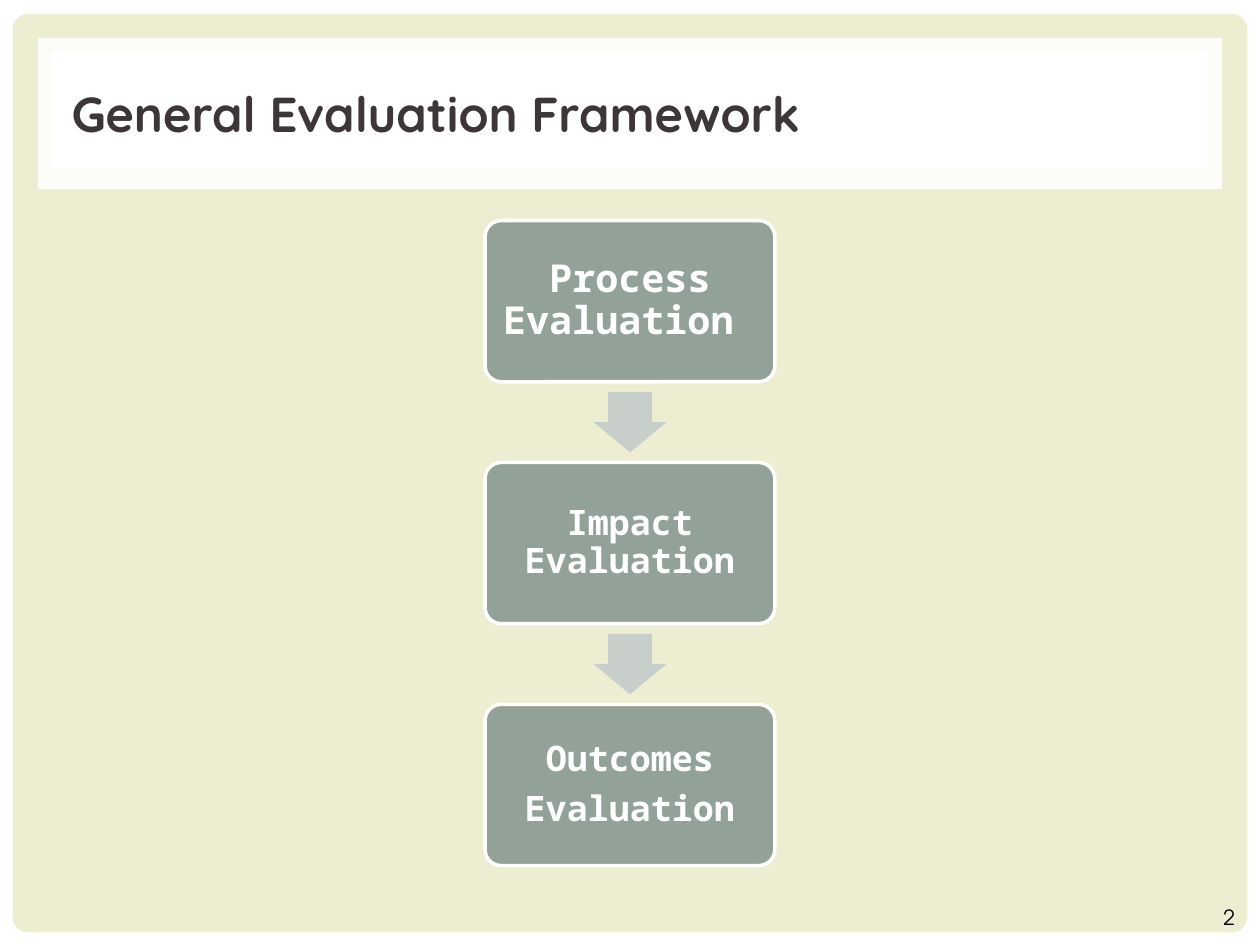
from lxml import etree
from pptx import Presentation
from pptx.dml.color import RGBColor
from pptx.enum.shapes import MSO_SHAPE
from pptx.enum.text import MSO_ANCHOR, PP_ALIGN
from pptx.oxml.ns import qn
from pptx.util import Inches, Pt

RECT, ROUND = MSO_SHAPE.RECTANGLE, MSO_SHAPE.ROUNDED_RECTANGLE
ARROW = MSO_SHAPE.RIGHT_ARROW
MIDDLE = MSO_ANCHOR.MIDDLE
LEFT, CENTER, RIGHT = PP_ALIGN.LEFT, PP_ALIGN.CENTER, PP_ALIGN.RIGHT

# Content
TITLE = "General Evaluation Framework"
NUMBER = "2"
STEPS = [  # paragraphs, type size, inset
    (["Process Evaluation "], 22, 0.09),
    (["Impact Evaluation"], 20, 0.08),
    (["Outcomes", "Evaluation"], 20, 0.08),
]

THEME = {
    "back": "ECEDD1", "white": "FFFFFF", "box": "93A299", "arrow": "C8CECA",
    "title": dict(name="Quicksand", size=28, bold=True, color="3C3638"),
    "step": dict(name="Noto Sans Mono", bold=True, color="FFFFFF"),
    "number": dict(name="TeX Gyre Adventor", size=12, color="000000"),
}

# Layout, in inches
WIDE, HIGH = 10, 7.5
BOX_W, BOX_H, TOP, PITCH = 2.3, 1.28, 1.75, 1.92
ARROW_L, ARROW_W = 0.48, 0.58

prs = Presentation()
prs.slide_width, prs.slide_height = Inches(WIDE), Inches(HIGH)
slide = prs.slides.add_slide(prs.slide_layouts[6])


def rgb(key):
    return RGBColor.from_string(THEME[key])


def draw(kind, at, fill, adjust=(), line=None):
    shape = slide.shapes.add_shape(kind, *map(Inches, at))
    shape.shadow.inherit = False
    shape.fill.solid()
    shape.fill.fore_color.rgb = rgb(fill)
    if line:
        shape.line.color.rgb = rgb(line)
        shape.line.width = Pt(2)
    else:
        shape.line.fill.background()
    for i, value in enumerate(adjust):
        shape.adjustments[i] = value
    return shape


def write(shape, lines, style, align, frame=None, para=None):
    body = shape.text_frame
    form = {"word_wrap": True, "vertical_anchor": MIDDLE, **(frame or {})}
    for key, value in form.items():
        setattr(body, key, value)
    for i, line in enumerate(lines):
        p = body.add_paragraph() if i else body.paragraphs[0]
        for key, value in {"alignment": align, **(para or {})}.items():
            setattr(p, key, value)
        run = p.add_run()
        run.text = line
        for key, value in style.items():
            if key == "color":
                run.font.color.rgb = RGBColor.from_string(value)
            else:
                setattr(run.font, key, Pt(value) if key == "size" else value)


# Background and title band
slide.background.fill.solid()
slide.background.fill.fore_color.rgb = rgb("back")
draw(RECT, (0, 0, WIDE, HIGH), "white")
draw(ROUND, (0.1, 0.11, 9.8, 7.29), "back", [0.017])
band = draw(RECT, (0.3, 0.3, 9.4, 1.2), "white")
tint = band.fill._xPr.find(qn("a:solidFill"))[0]
etree.SubElement(tint, qn("a:alpha")).set("val", "83000")
draw(RECT, (0.41, 0.41, 9.17, 0.93), "white")

# Title and page number
for at, text, style, align in [
    ((0.47, 0.45, 9.03, 0.89), TITLE, "title", LEFT),
    ((9.42, 7.08, 0.48, 0.4), NUMBER, "number", RIGHT),
]:
    box = slide.shapes.add_textbox(*map(Inches, at))
    write(box, [text], THEME[style], align)

# Steps, with an arrow in each gap
for i, (lines, size, inset) in enumerate(STEPS):
    top = TOP + i * PITCH
    if i:
        mid = top - (PITCH - BOX_H) / 2
        at = ((WIDE - ARROW_L) / 2, mid - ARROW_W / 2, ARROW_L, ARROW_W)
        draw(ARROW, at, "arrow", [0.6, 0.5]).rotation = 90
    box = draw(ROUND, ((WIDE - BOX_W) / 2, top, BOX_W, BOX_H),
               "box", [0.1], "white")
    sides = ("left", "top", "right", "bottom")
    write(box, lines, {**THEME["step"], "size": size}, CENTER,
          {f"margin_{side}": Inches(inset) for side in sides},
          {"line_spacing": 0.9, "space_after": Pt(0.35 * size)})

prs.save("out.pptx")
